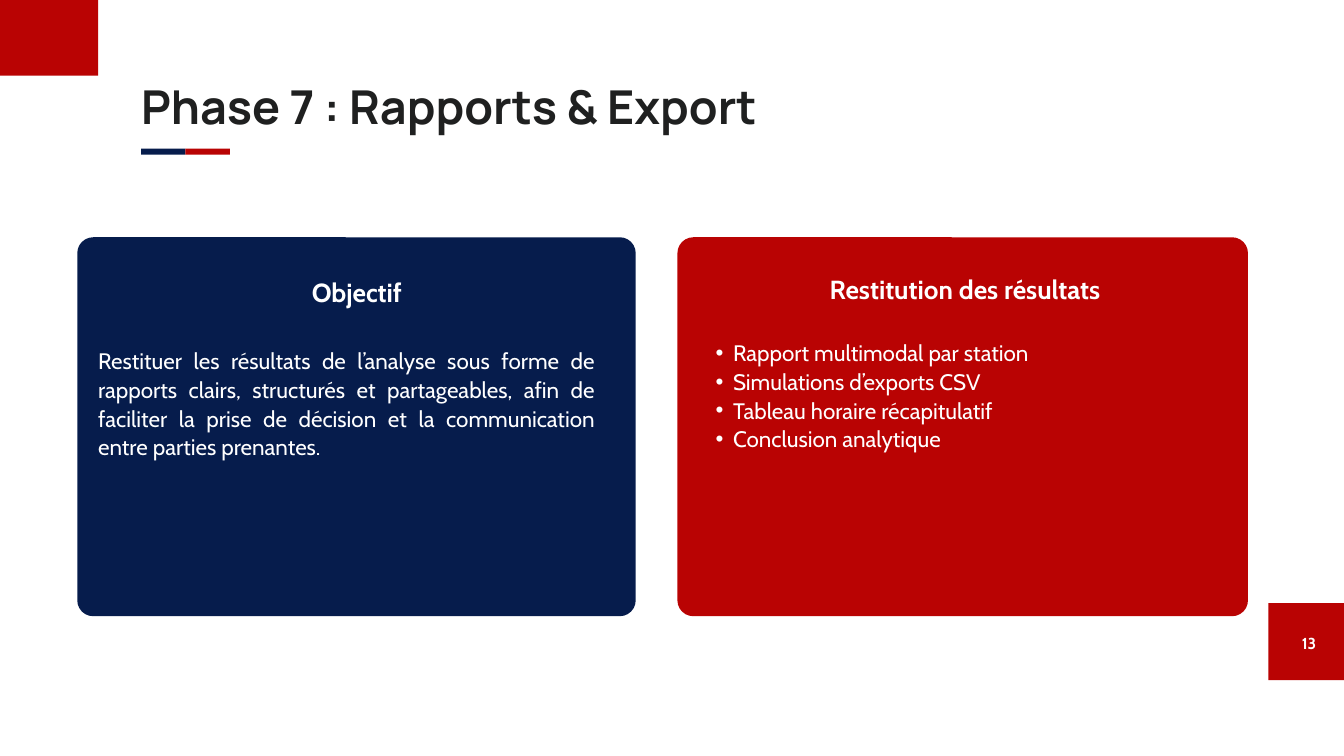
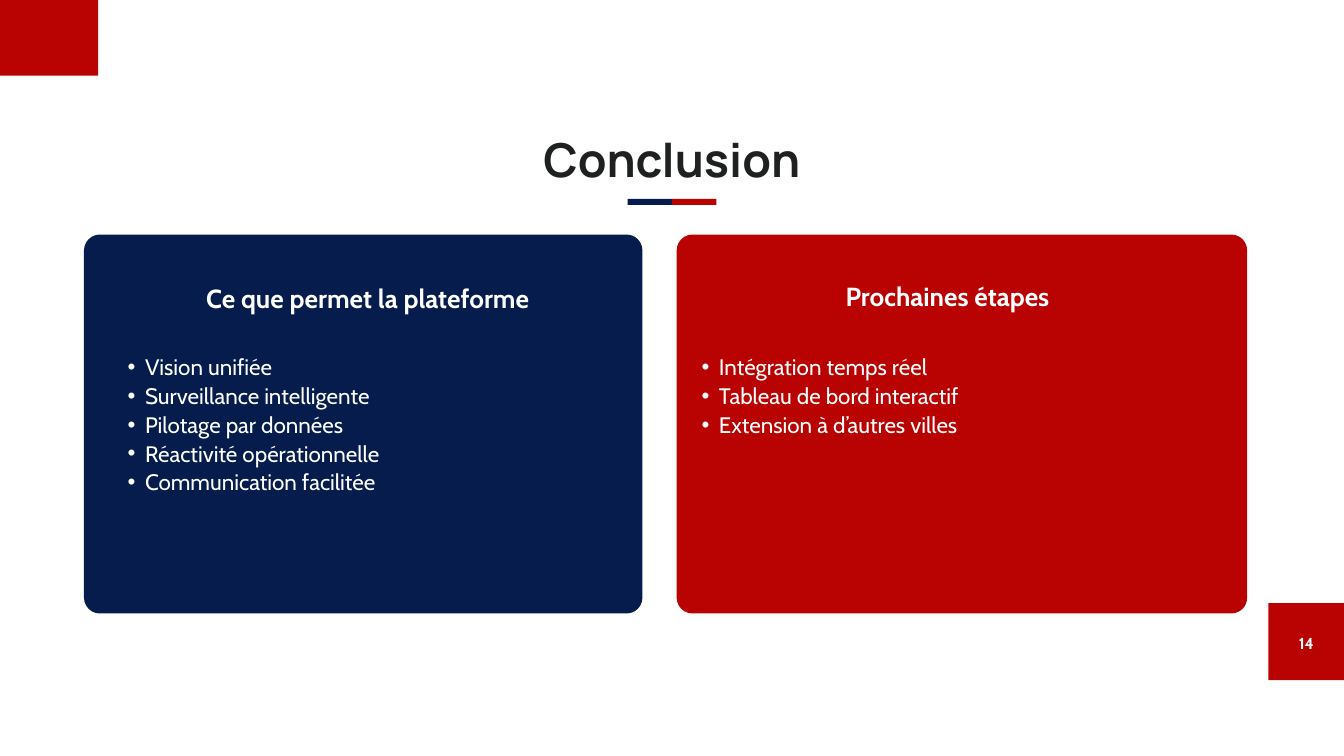
import pptx
import pptx.util
import pptx.dml.color
import pptx.enum.shapes
import pptx.enum.text
import lxml.etree

Pt = pptx.util.Pt
SHAPE = pptx.enum.shapes.MSO_SHAPE
ALIGN = pptx.enum.text.PP_ALIGN
COLORS = {"navy": "061C4C", "red": "B90303", "ink": "1F2020", "white": "FFFFFF"}
CARD_HEIGHT = 406
CARD_RADIUS = 17
BAR_WIDTH, BAR_HEIGHT = 47.5, 6.5

# Content: positions are (left, top, width, height) in points
SLIDES = [
    {
        "number": "13", "number_left": 1380.2,
        "title": "Phase 7 : Rapports & Export",
        "title_place": (151.2, 87.1, 1194.5, 58.3), "title_align": ALIGN.LEFT,
        "bar": (151.2, 159.1),
        "card_top": 254.2, "heading_spacing": 36.4,
        "cards": [
            {"color": "navy", "left": 82.8, "width": 598.3,
             "heading": "Objectif", "heading_place": (321.1, 293.8, 122.4, 34.6),
             "body_place": (105.1, 370.1, 532.1, 123.1), "bullets": False,
             "body": ["Restituer les résultats de l’analyse sous forme de rapports clairs, "
                      "structurés et partageables, afin de faciliter la prise de décision "
                      "et la communication entre parties prenantes."]},
            {"color": "red", "left": 725.8, "width": 611.3,
             "heading": "Restitution des résultats",
             "heading_place": (861.1, 290.2, 345.6, 34.6),
             "body_place": (748.1, 361.4, 571.7, 125.3), "bullets": True,
             "body": ["Rapport multimodal par station", "Simulations d’exports CSV",
                      "Tableau horaire récapitulatif", "Conclusion analytique"]},
        ],
    },
    {
        "number": "14", "number_left": 1377.4,
        "title": "Conclusion",
        "title_place": (439.9, 144, 560.2, 58.3), "title_align": ALIGN.CENTER,
        "bar": (672.5, 213.1),
        "card_top": 251.3, "heading_spacing": 42.6,
        "cards": [
            {"color": "navy", "left": 90, "width": 598.3,
             "heading": "Ce que permet la plateforme",
             "heading_place": (175.7, 293.8, 436.3, 41),
             "body_place": (118.1, 376.6, 558.7, 154.1), "bullets": True,
             "body": ["Vision unifiée", "Surveillance intelligente", "Pilotage par données",
                      "Réactivité opérationnelle", "Communication facilitée"]},
            {"color": "red", "left": 725, "width": 611.3,
             "heading": "Prochaines étapes", "heading_place": (876.2, 291.6, 277.9, 41),
             "body_place": (733, 376.6, 589.7, 92.2), "bullets": True,
             "body": ["Intégration temps réel", "Tableau de bord interactif",
                      "Extension à d’autres villes"]},
        ],
    },
]


def add_block(page, kind, left, top, width, height, color):
    block = page.shapes.add_shape(kind, Pt(left), Pt(top), Pt(width), Pt(height))
    block.shadow.inherit = False
    block.fill.solid()
    block.fill.fore_color.rgb = pptx.dml.color.RGBColor.from_string(COLORS[color])
    block.line.fill.background()
    return block


def write_text(box, place, lines, font, size, color, bold, align, spacing, bullets=False):
    box.left, box.top, box.width, box.height = [Pt(value) for value in place]
    frame = box.text_frame
    frame.word_wrap = True
    frame.auto_size = pptx.enum.text.MSO_AUTO_SIZE.NONE
    frame.vertical_anchor = pptx.enum.text.MSO_ANCHOR.TOP
    frame.margin_left = frame.margin_top = frame.margin_right = frame.margin_bottom = 0
    frame.text = "\n".join(lines)
    for para in frame.paragraphs:
        para.alignment = align
        para.line_spacing = Pt(spacing)
        para.space_before = para.space_after = Pt(0)
        properties = para._p.get_or_add_pPr()
        properties.set("marL", str(Pt(37.3) if bullets else 0))
        properties.set("indent", str(Pt(-18.65) if bullets else 0))
        tag = "buChar" if bullets else "buNone"
        bullet = lxml.etree.SubElement(properties, pptx.oxml.ns.qn("a:" + tag))
        if bullets:
            bullet.set("char", "•")
        para.font.name = font
        para.font.size = Pt(size)
        para.font.bold = bold
        para.font.color.rgb = pptx.dml.color.RGBColor.from_string(COLORS[color])
    # Bring the text in front of the cards
    box._element.getparent().append(box._element)


deck = pptx.Presentation()
deck.slide_width, deck.slide_height = Pt(1440), Pt(810)
comparison = deck.slide_layouts[4]

for content in SLIDES:
    page = deck.slides.add_slide(comparison)
    for footer in [box for box in page.placeholders if box.placeholder_format.idx >= 10]:
        footer._element.getparent().remove(footer._element)
    title, *card_boxes = page.placeholders

    # Corner block and page number
    add_block(page, SHAPE.RECTANGLE, 0, 0, 105.1, 81, "red")
    add_block(page, SHAPE.RECTANGLE, 1359, 646.2, 81, 82.5, "red")
    number = page.shapes.add_textbox(0, 0, 0, 0)
    write_text(number, (content["number_left"], 675.4, 44.6, 22.3), [content["number"]],
               "Cabin", 17, "white", True, ALIGN.CENTER, 23.8)

    # Title with its two-colour underline
    write_text(title, content["title_place"], [content["title"]],
               "Manrope", 50, "ink", True, content["title_align"], 56)
    bar_left, bar_top = content["bar"]
    for index, color in enumerate(["navy", "red"]):
        add_block(page, SHAPE.RECTANGLE, bar_left + index * BAR_WIDTH, bar_top,
                  BAR_WIDTH, BAR_HEIGHT, color)

    # Cards, each with a heading and a body
    for card, heading, body in zip(content["cards"], card_boxes[::2], card_boxes[1::2]):
        panel = add_block(page, SHAPE.ROUNDED_RECTANGLE, card["left"], content["card_top"],
                          card["width"], CARD_HEIGHT, card["color"])
        panel.adjustments[0] = CARD_RADIUS / CARD_HEIGHT
        write_text(heading, card["heading_place"], [card["heading"]], "Cabin", 28, "white",
                   True, ALIGN.CENTER, content["heading_spacing"])
        write_text(body, card["body_place"], card["body"], "Cabin", 24, "white",
                   False, ALIGN.JUSTIFY, 30.8, card["bullets"])

deck.save("out.pptx")
